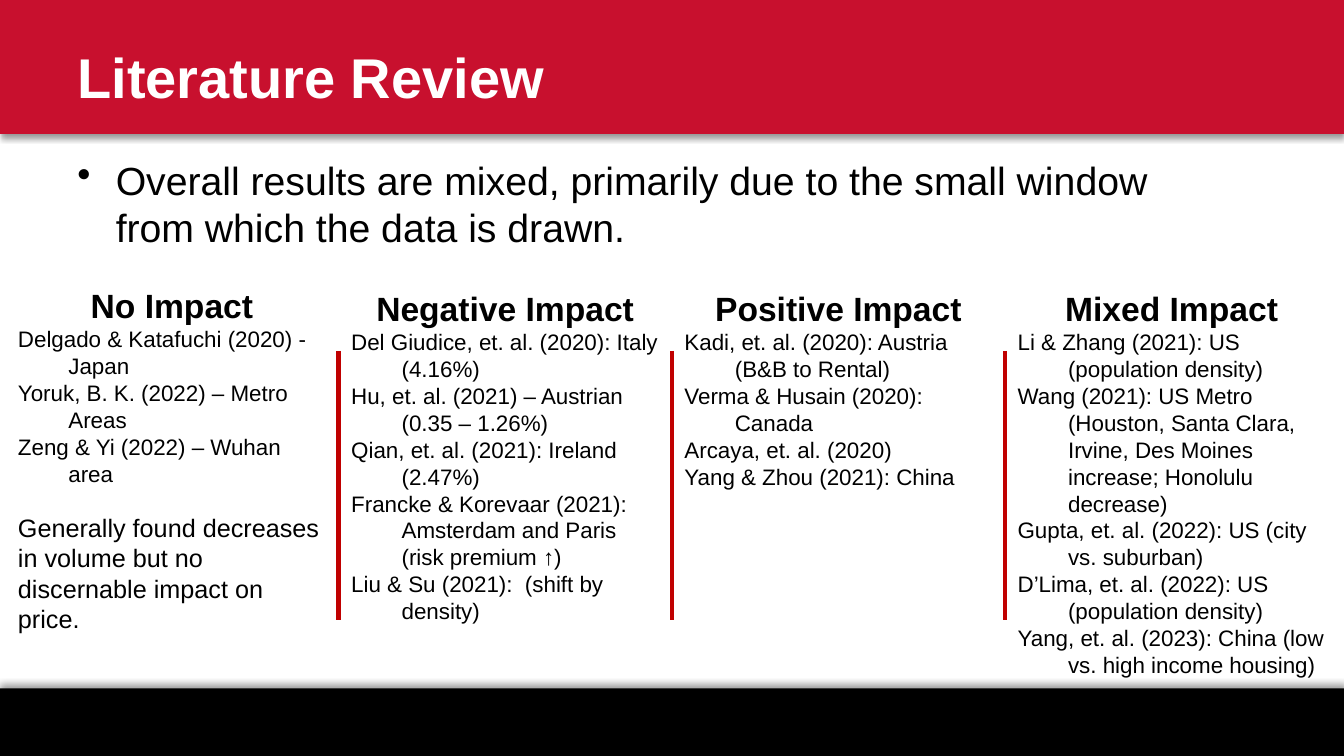
from lxml.etree import SubElement
from pptx import Presentation
from pptx.dml.color import RGBColor
from pptx.enum.shapes import MSO_CONNECTOR, MSO_SHAPE
from pptx.enum.text import MSO_ANCHOR, MSO_AUTO_SIZE, PP_ALIGN
from pptx.oxml.ns import qn
from pptx.util import Inches, Pt

TITLE = "Literature Review"
POINT = ("Overall results are mixed, primarily due to the small window "
         "from which the data is drawn.")
GROUPS = [
    ("No Impact", [
        "Delgado & Katafuchi (2020) - Japan",
        "Yoruk, B. K. (2022) – Metro Areas",
        "Zeng & Yi (2022) – Wuhan area",
    ], "Generally found decreases in volume but no discernable impact on price."),
    ("Negative Impact", [
        "Del Giudice, et. al. (2020): Italy (4.16%)",
        "Hu, et. al. (2021) – Austrian (0.35 – 1.26%)",
        "Qian, et. al. (2021): Ireland (2.47%)",
        "Francke & Korevaar (2021): Amsterdam and Paris (risk premium ↑)",
        "Liu & Su (2021):  (shift by density)",
    ], None),
    ("Positive Impact", [
        "Kadi, et. al. (2020): Austria (B&B to Rental)",
        "Verma & Husain (2020): Canada",
        "Arcaya, et. al. (2020)",
        "Yang & Zhou (2021): China",
    ], None),
    ("Mixed Impact", [
        "Li & Zhang (2021): US (population density)",
        "Wang (2021): US Metro (Houston, Santa Clara, Irvine, Des Moines "
        "increase; Honolulu decrease)",
        "Gupta, et. al. (2022): US (city vs. suburban)",
        "D’Lima, et. al. (2022): US (population density)",
        "Yang, et. al. (2023): China (low vs. high income housing)",
    ], None),
]
COLORS = {"red": "C8102E", "rule": "C00000", "black": "000000", "white": "FFFFFF"}
WIDE, HIGH = 13.33, 7.5
EDGE, COL, GAP = 0.08, 3.25, 0.055
HEAD, FOOT = 1.33, 0.67
TOPS = [2.78, 2.81, 2.81, 2.81]
RULE = (3.48, 6.15)
STYLES = {
    "title": {"size": Pt(40), "bold": True},
    "point": {"size": Pt(28)},
    "label": {"size": Pt(24), "bold": True},
    "cite": {"size": Pt(16)},
    "note": {"size": Pt(18)},
}


def color(name):
    return RGBColor.from_string(COLORS[name])


def add_bar(slide, top, high, tint, angle):
    """Draw a full-width band with a soft shadow cast at the angle in degrees."""
    bar = slide.shapes.add_shape(MSO_SHAPE.RECTANGLE, 0, Inches(top),
                                 Inches(WIDE), Inches(high))
    bar.fill.solid()
    bar.fill.fore_color.rgb = color(tint)
    bar.line.fill.background()
    bar.shadow.inherit = False
    effects = bar.element.spPr.find(qn("a:effectLst"))
    shade = SubElement(effects, qn("a:outerShdw"), blurRad=str(Pt(4)),
                       dist=str(Pt(3)), dir=str(angle * 60000), rotWithShape="0")
    tone = SubElement(shade, qn("a:srgbClr"), val=COLORS["black"])
    SubElement(tone, qn("a:alpha"), val="40000")


def add_box(slide, left, top, wide, high):
    box = slide.shapes.add_textbox(*map(Inches, (left, top, wide, high)))
    box.text_frame.word_wrap = True
    return box.text_frame


def add_para(frame, text, style, tint="black", hang=0, **layout):
    """Fill the empty first paragraph or append one, with a hanging indent."""
    para = frame.paragraphs[0]
    if para.runs:
        para = frame.add_paragraph()
    run = para.add_run()
    run.text = text
    run.font.name = "Arial"
    run.font.color.rgb = color(tint)
    for key, value in STYLES[style].items():
        setattr(run.font, key, value)
    for key, value in layout.items():
        setattr(para, key, value)
    if hang:
        props = para._p.get_or_add_pPr()
        props.set("marL", str(Inches(hang)))
        props.set("indent", str(-Inches(hang)))
    return para


def add_group(slide, left, top, group):
    label, cites, note = group
    frame = add_box(slide, left, top, COL, 4.01)
    frame.auto_size = MSO_AUTO_SIZE.SHAPE_TO_FIT_TEXT
    add_para(frame, label, "label", alignment=PP_ALIGN.CENTER)
    for cite in cites:
        add_para(frame, cite, "cite", hang=0.5)
    if note:
        add_para(frame, note, "note", space_before=Pt(18.4))


def add_rule(slide, x):
    start, end = RULE
    rule = slide.shapes.add_connector(MSO_CONNECTOR.STRAIGHT,
                                      *map(Inches, (x, start, x, end)))
    rule.line.color.rgb = color("rule")
    rule.line.width = Pt(3)
    SubElement(rule.element.spPr, qn("a:effectLst"))


def main():
    deck = Presentation()
    deck.slide_width, deck.slide_height = Inches(WIDE), Inches(HIGH)
    slide = deck.slides.add_slide(deck.slide_layouts[6])

    add_bar(slide, HIGH - FOOT, FOOT, "black", 270)
    add_bar(slide, 0, HEAD, "red", 90)

    title = add_box(slide, 0.67, 0.17, 11, 1.17)
    title.vertical_anchor = MSO_ANCHOR.MIDDLE
    add_para(title, TITLE, "title", "white")

    body = add_box(slide, 0.67, 1.5, 11.44, 1.2)
    point = add_para(body, POINT, "point", hang=0.38, space_before=Pt(5.6))
    SubElement(point._p.get_or_add_pPr(), qn("a:buChar"), char="•")

    for i, group in enumerate(GROUPS):
        left = EDGE + i * (COL + GAP)
        add_group(slide, left, TOPS[i], group)
        if i:
            add_rule(slide, left - GAP / 2)

    deck.save("out.pptx")


if __name__ == "__main__":
    main()
